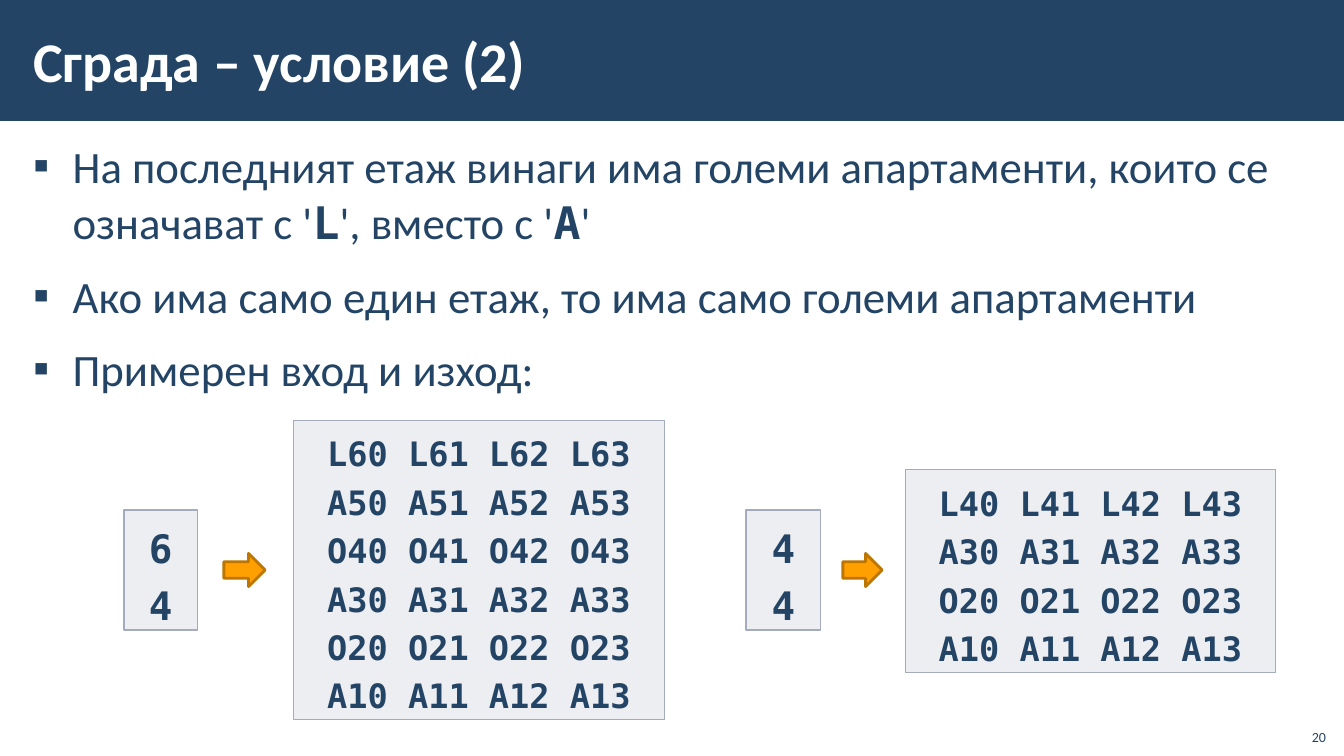
from lxml.etree import SubElement
from pptx import Presentation
from pptx.dml.color import RGBColor
from pptx.enum.shapes import MSO_SHAPE
from pptx.enum.text import MSO_ANCHOR, MSO_AUTO_SIZE, PP_ALIGN
from pptx.oxml.ns import qn
from pptx.util import Inches, Pt

NAVY = RGBColor(0x23, 0x44, 0x65)
WHITE = RGBColor(0xFF, 0xFF, 0xFF)
GREY = RGBColor(0xA3, 0xAB, 0xBC)
ORANGE = RGBColor(0xFF, 0xA0, 0x00)
BROWN = RGBColor(0xBD, 0x76, 0x00)
TEXT_FONT = "Calibri"
CODE_FONT = "DejaVu Sans Mono"

# Each bullet is a list of (text, is code) pieces.
BULLETS = [
    [("На последният етаж винаги има големи апартаменти, които се означават с '", False),
     ("L", True), ("', вместо с '", False), ("А", True), ("'", False)],
    [("Ако има само един етаж, то има само големи апартаменти", False)],
    [("Примерен вход и изход:", False)],
]

# Each example: boxes of the input, the arrow and the output, floors, flats per floor.
EXAMPLES = [
    ((7.4, 5.06, 0.74, 1.19), (8.36, 5.49, 0.39, 0.33), (8.98, 4.66, 3.67, 2.01), 4, 4),
    ((1.23, 5.06, 0.73, 1.19), (2.22, 5.49, 0.41, 0.33), (2.91, 4.17, 3.68, 2.97), 6, 4),
]


def style(span, size, color=NAVY, bold=False, name=TEXT_FONT):
    span.font.size = Pt(size)
    span.font.color.rgb = color
    span.font.bold = bold
    span.font.name = name


def add_text_frame(slide, box, anchor=MSO_ANCHOR.TOP):
    frame = slide.shapes.add_textbox(*map(Inches, box)).text_frame
    frame.word_wrap = True
    frame.vertical_anchor = anchor
    return frame


def set_wide_margins(frame):
    frame.margin_left = frame.margin_right = Inches(0.12)
    frame.margin_top = frame.margin_bottom = Inches(0.04)


def add_filled_shape(slide, kind, box, fill):
    shape = slide.shapes.add_shape(kind, *map(Inches, box))
    shape.shadow.inherit = False
    shape.fill.solid()
    shape.fill.fore_color.rgb = fill
    return shape


def add_outline(shape, color, width):
    shape.line.color.rgb = color
    shape.line.width = Pt(width)


def add_title(slide, box, text):
    left, top, width, height = box
    band = add_filled_shape(slide, MSO_SHAPE.RECTANGLE, box, NAVY)
    band.line.fill.background()
    title_box = (left + 0.21, top + 0.11, width - 2.71, height - 0.23)
    frame = add_text_frame(slide, title_box, MSO_ANCHOR.MIDDLE)
    set_wide_margins(frame)
    frame.text = text
    style(frame.paragraphs[0].runs[0], 40, WHITE, bold=True)


def add_bullet_mark(para, indent):
    properties = para._p.get_or_add_pPr()
    properties.set("marL", str(Inches(indent)))
    properties.set("indent", str(-Inches(indent)))
    SubElement(properties, qn("a:buFont")).set("typeface", TEXT_FONT)
    SubElement(properties, qn("a:buChar")).set("char", "▪")


def add_bullets(slide, box, bullets):
    frame = add_text_frame(slide, box)
    set_wide_margins(frame)
    for index, pieces in enumerate(bullets):
        para = frame.add_paragraph() if index else frame.paragraphs[0]
        para.line_spacing = 1.05
        para.space_before = para.space_after = Pt(6)
        add_bullet_mark(para, 0.39)
        for text, is_code in pieces:
            span = para.add_run()
            span.text = text
            style(span, 32, bold=is_code, name=CODE_FONT if is_code else TEXT_FONT)


def add_code_box(slide, box, lines, size):
    shape = add_filled_shape(slide, MSO_SHAPE.RECTANGLE, box, GREY)
    fill_color = shape.fill._xPr.find(qn("a:solidFill"))[0]
    SubElement(fill_color, qn("a:alpha")).set("val", "20000")
    add_outline(shape, GREY, 1)
    frame = shape.text_frame
    frame.word_wrap = True
    frame.auto_size = MSO_AUTO_SIZE.SHAPE_TO_FIT_TEXT
    frame.vertical_anchor = MSO_ANCHOR.TOP
    frame.text = "\n".join(lines)
    for para in frame.paragraphs:
        para.alignment = PP_ALIGN.CENTER
        para.line_spacing = 1.2
        style(para.runs[0], size, bold=True, name=CODE_FONT)


def building_lines(floors, flats):
    """List the floors from the top: L on the last, O on even, A on odd ones."""
    lines = []
    for floor in range(floors, 0, -1):
        letter = "L" if floor == floors else "AO"[floor % 2 == 0]
        lines.append(" ".join(f"{letter}{floor}{flat}" for flat in range(flats)))
    return lines


def add_example(slide, input_box, arrow_box, output_box, floors, flats):
    add_code_box(slide, input_box, [str(floors), str(flats)], 28)
    arrow = add_filled_shape(slide, MSO_SHAPE.RIGHT_ARROW, arrow_box, ORANGE)
    add_outline(arrow, BROWN, 2)
    add_code_box(slide, output_box, building_lines(floors, flats), 24)


def add_page_number(slide, box, number):
    frame = add_text_frame(slide, box, MSO_ANCHOR.BOTTOM)
    frame.text = str(number)
    frame.paragraphs[0].alignment = PP_ALIGN.RIGHT
    style(frame.paragraphs[0].runs[0], 10)


def main():
    deck = Presentation()
    deck.slide_width, deck.slide_height = Inches(13.33), Inches(7.5)
    slide = deck.slides.add_slide(deck.slide_layouts[6])
    add_title(slide, (0, 0, 13.34, 1.2), "Сграда – условие (2)")
    add_bullets(slide, (0.21, 1.31, 12.92, 6.05), BULLETS)
    for example in EXAMPLES:
        add_example(slide, *example)
    add_page_number(slide, (12.85, 7.12, 0.4, 0.32), 20)
    deck.save("out.pptx")


if __name__ == "__main__":
    main()
